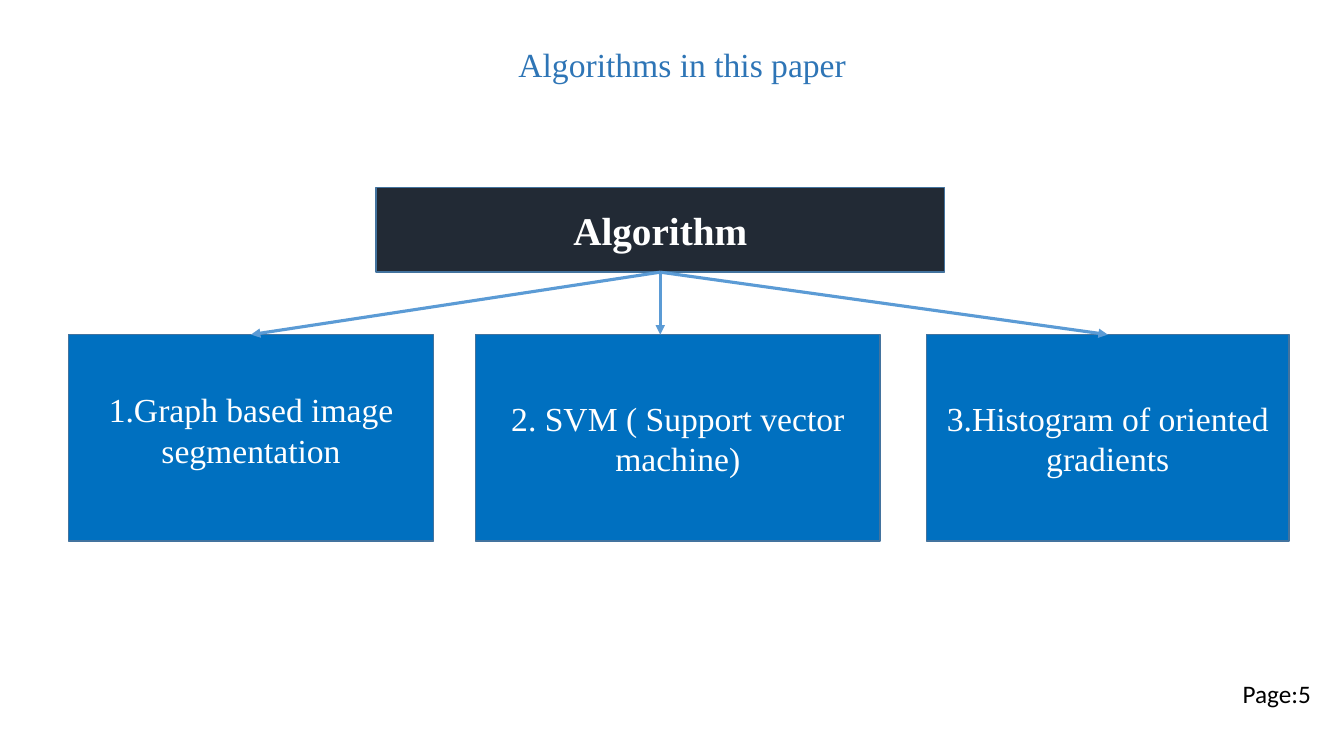
from lxml import etree
from pptx import Presentation
from pptx.dml.color import RGBColor
from pptx.enum.shapes import MSO_CONNECTOR as Connector, MSO_SHAPE as Shape
from pptx.enum.text import MSO_ANCHOR as Anchor, PP_ALIGN as Align
from pptx.oxml.ns import qn
from pptx.util import Pt

# Content
TITLE = "Algorithms in this paper"
PAGE = "Page:5"
ROOT = "Algorithm"
# text, left, width, bottom inset
BRANCHES = [
    ("1.Graph based image segmentation", 49, 260.6, 15.6),
    ("2. SVM ( Support vector machine)", 339.8, 288.7, 3.6),
    ("3.Histogram of oriented gradients", 661.7, 259.2, 3.6),
]

# Style
SERIF, SANS = "Times New Roman", "Calibri"
TITLE_BLUE = RGBColor(0x2E, 0x75, 0xB6)
NAVY = RGBColor(0x22, 0x2A, 0x35)
BLUE = RGBColor(0x00, 0x70, 0xC0)
OUTLINE = RGBColor(0x43, 0x73, 0x9E)
ARROW = RGBColor(0x5B, 0x9B, 0xD5)
WHITE = RGBColor(0xFF, 0xFF, 0xFF)
BLACK = RGBColor(0x00, 0x00, 0x00)

# Layout in points
ROOT_LEFT, ROOT_TOP, ROOT_WIDTH, ROOT_HEIGHT = 268.6, 133.9, 406, 60.5
BRANCH_TOP, BRANCH_HEIGHT = 239, 147.6
ROOT_CENTER = ROOT_LEFT + ROOT_WIDTH / 2
ROOT_BOTTOM = ROOT_TOP + ROOT_HEIGHT

presentation = Presentation()
presentation.slide_width, presentation.slide_height = Pt(960), Pt(540)
slide = presentation.slides.add_slide(presentation.slide_layouts[6])


def write(shape, text, size, font, color, align, bold=False):
    paragraph = shape.text_frame.paragraphs[0]
    paragraph.alignment = align
    run = paragraph.add_run()
    run.text = text
    run.font.size, run.font.name, run.font.bold = Pt(size), font, bold
    run.font.color.rgb = color


def add_label(text, left, top, width, height, *style):
    label = slide.shapes.add_textbox(Pt(left), Pt(top), Pt(width), Pt(height))
    label.text_frame.word_wrap = False
    write(label, text, *style)
    return label


def add_box(text, left, top, width, height, fill, size, bold=False):
    box = slide.shapes.add_shape(Shape.RECTANGLE, Pt(left), Pt(top), Pt(width), Pt(height))
    box.shadow.inherit = False
    box.fill.solid()
    box.fill.fore_color.rgb = fill
    box.line.color.rgb = OUTLINE
    box.line.width = Pt(1)
    box.text_frame.word_wrap = True
    box.text_frame.vertical_anchor = Anchor.MIDDLE
    write(box, text, size, SERIF, WHITE, Align.CENTER, bold)
    return box


def add_arrow(end_x):
    arrow = slide.shapes.add_connector(
        Connector.STRAIGHT, Pt(ROOT_CENTER), Pt(ROOT_BOTTOM), Pt(end_x), Pt(BRANCH_TOP))
    arrow.line.color.rgb = ARROW
    arrow.line.width = Pt(2.25)
    etree.SubElement(arrow.line._get_or_add_ln(), qn("a:tailEnd"), type="triangle")
    etree.SubElement(arrow._element.spPr, qn("a:effectLst"))
    arrow.begin_connect(root, 2)
    return arrow


# Title and page number
title = add_label(TITLE, 356.4, 28.1, 255.6, 36, 24, SERIF, TITLE_BLUE, Align.CENTER)
title.text_frame.margin_left = Pt(13.2)
add_label(PAGE, 880.6, 481, 64, 28.8, 18, SANS, BLACK, Align.LEFT)

# Root and branches
root = add_box(ROOT, ROOT_LEFT, ROOT_TOP, ROOT_WIDTH, ROOT_HEIGHT, NAVY, 28, True)
boxes = []
for text, left, width, inset in BRANCHES:
    box = add_box(text, left, BRANCH_TOP, width, BRANCH_HEIGHT, BLUE, 24)
    box.text_frame.margin_bottom = Pt(inset)
    boxes.append(box)

# Arrows: the outer two meet their boxes, the middle one drops straight down
for box in (boxes[0], boxes[-1]):
    add_arrow(ROOT_CENTER).end_connect(box, 0)
add_arrow(ROOT_CENTER)

presentation.save("out.pptx")
